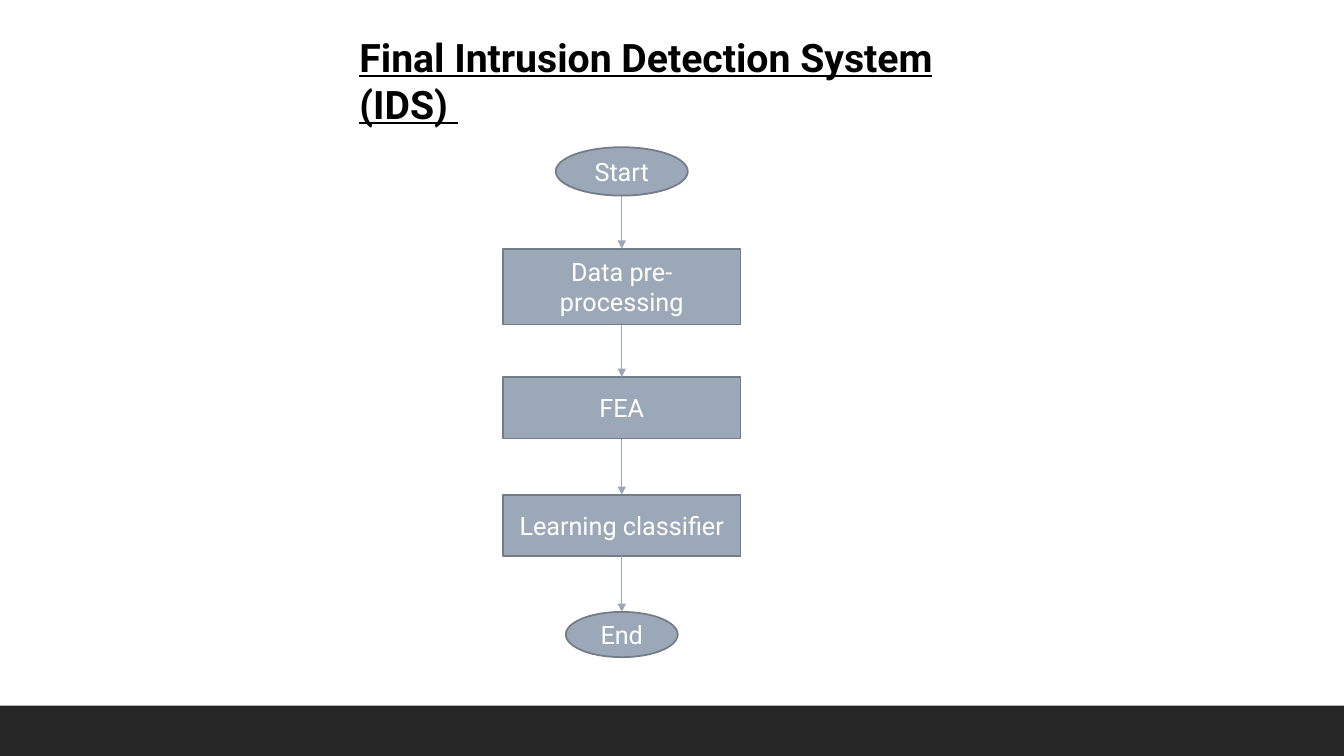
from lxml import etree
from pptx import Presentation
from pptx.dml.color import RGBColor
from pptx.enum.shapes import MSO_CONNECTOR, MSO_SHAPE
from pptx.enum.text import MSO_ANCHOR, PP_ALIGN
from pptx.oxml.ns import qn
from pptx.util import Cm, Pt

OVAL, RECT = MSO_SHAPE.OVAL, MSO_SHAPE.RECTANGLE
LINE = MSO_CONNECTOR.STRAIGHT
LEFT, CENTER = PP_ALIGN.LEFT, PP_ALIGN.CENTER
TOP, MIDDLE = MSO_ANCHOR.TOP, MSO_ANCHOR.MIDDLE
STEEL, EDGE, DARK = "9BA8B7", "737C87", "262626"


def color(code):
    return RGBColor.from_string(code)


def write(shape, text, size=18, ink="FFFFFF", bold=False, under=False,
          align=CENTER, anchor=MIDDLE):
    frame = shape.text_frame
    frame.word_wrap = True
    frame.vertical_anchor = anchor
    para = frame.paragraphs[0]
    para.alignment = align
    run = para.add_run()
    run.text = text
    font = run.font
    font.name, font.size = "Roboto", Pt(size)
    font.bold, font.underline = bold, under
    font.color.rgb = color(ink)


deck = Presentation()
deck.slide_width, deck.slide_height = Cm(33.87), Cm(19.05)
slide = deck.slides.add_slide(deck.slide_layouts[6])
shapes = slide.shapes

# Footer band
band = shapes.add_shape(RECT, 0, Cm(17.78), deck.slide_width, Cm(1.27))
band.shadow.inherit = False
band.fill.solid()
band.fill.fore_color.rgb = color(DARK)
band.line.fill.background()

# Flow steps, centred on one axis: text, kind, top, width, height
axis = 15.67
steps = [
    ("Start", OVAL, 3.71, 3.33, 1.22),
    ("Data pre-processing", RECT, 6.27, 5.99, 1.91),
    ("FEA", RECT, 9.5, 5.99, 1.55),
    ("Learning classifier", RECT, 12.47, 5.99, 1.55),
    ("End", OVAL, 15.42, 2.82, 1.14),
]
for text, kind, top, width, height in steps:
    step = shapes.add_shape(kind, Cm(axis - width / 2), Cm(top),
                            Cm(width), Cm(height))
    step.shadow.inherit = False
    step.fill.solid()
    step.fill.fore_color.rgb = color(STEEL)
    step.line.color.rgb = color(EDGE)
    step.line.width = Pt(1.25)
    write(step, text)

# Arrows from each step to the next
for above, below in zip(steps, steps[1:]):
    arrow = shapes.add_connector(LINE, Cm(axis), Cm(above[2] + above[4]),
                                 Cm(axis), Cm(below[2]))
    arrow.line.color.rgb = color(STEEL)
    arrow.line.width = Pt(1)
    etree.SubElement(arrow.line._get_or_add_ln(), qn("a:tailEnd"),
                     type="triangle")
    etree.SubElement(arrow._element.spPr, qn("a:effectLst"))

# Title
title = shapes.add_textbox(Cm(8.81), Cm(0.71), Cm(16.92), Cm(1.45))
write(title, "Final Intrusion Detection System (IDS) ", size=28, ink="000000",
      bold=True, under=True, align=LEFT, anchor=TOP)

deck.save("out.pptx")
